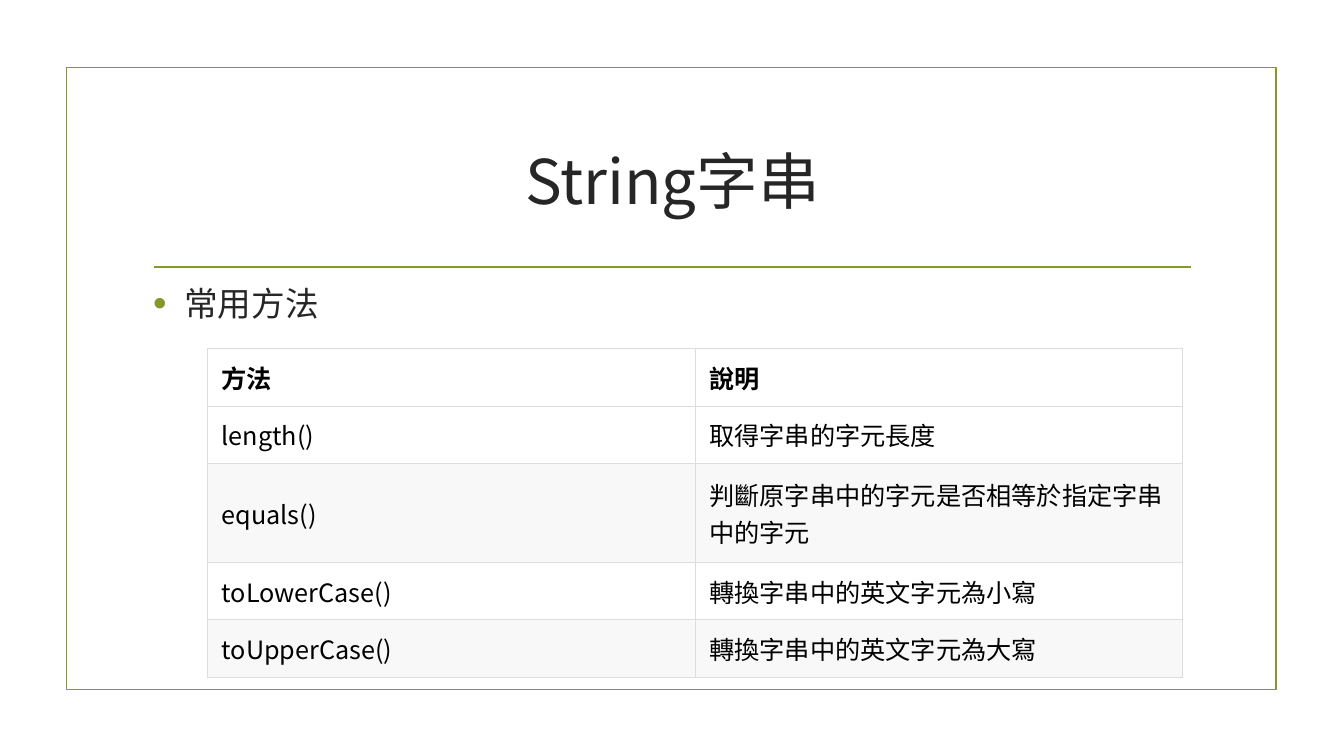
"""Build a slide listing common String methods in a bordered table."""
from lxml import etree
from pptx import Presentation
from pptx import util as u
from pptx.dml.color import RGBColor
from pptx.enum import shapes, text
from pptx.oxml.ns import qn

TITLE = "String字串"
BULLET = "常用方法"
METHODS = [
    ("方法", "說明"),
    ("length()", "取得字串的字元長度"),
    ("equals()", "判斷原字串中的字元是否相等於指定字串中的字元"),
    ("toLowerCase()", "轉換字串中的英文字元為小寫"),
    ("toUpperCase()", "轉換字串中的英文字元為大寫"),
]
THEME = {
    "accent": "83992A", "heading": "262626", "body": "000000",
    "border": "DDDDDD", "plain": "FFFFFF", "band": "F8F8F8",
    "heading_font": "Noto Sans CJK SC", "table_font": "Noto Sans CJK TC",
    "title_size": 44, "bullet_size": 24, "table_size": 18, "line": 1.25,
}
FRAME = (0.66, 0.67, 12, 6.17)
RULE = (1.53, 2.65, 11.81, 2.65)
TITLE_BOX = (1.42, 1.07, 10.5, 1.43)
BULLET_BOX = (1.42, 2.8, 10.5, 3.63)
TABLE_BOX = (2.06, 3.46, 9.67, 3.26)
ROW_HEIGHT, TALL_ROW_HEIGHT, TALL_ROW = 0.57, 0.98, 2
CELL_FORMAT = {
    "vertical_anchor": text.MSO_ANCHOR.MIDDLE,
    "margin_left": u.Inches(0.14), "margin_right": u.Inches(0.14),
    "margin_top": u.Inches(0.06), "margin_bottom": u.Inches(0.06),
}


def inches(values):
    return [u.Inches(value) for value in values]


def color(name):
    return RGBColor.from_string(THEME[name])


def apply(target, formats):
    for name, value in formats.items():
        setattr(target, name, value)


def write(paragraph, wording, font, size, ink, bold=False):
    run = paragraph.add_run()
    run.text = wording
    apply(run.font, {"name": THEME[font], "size": u.Pt(THEME[size]), "bold": bold})
    run.font.color.rgb = color(ink)
    etree.SubElement(run.font._element, qn("a:ea"), typeface=THEME[font])


def add_text(slide, box, anchor):
    frame = slide.shapes.add_textbox(*inches(box)).text_frame
    apply(frame, {"word_wrap": True, "vertical_anchor": anchor})
    return frame.paragraphs[0]


def add_bullet(paragraph):
    apply(paragraph, {"space_after": u.Pt(6), "line_spacing": 0.9})
    properties = paragraph._p.get_or_add_pPr()
    indent = u.Inches(0.31)
    properties.set("marL", str(indent))
    properties.set("indent", str(-indent))
    bullet_color = etree.SubElement(properties, qn("a:buClr"))
    etree.SubElement(bullet_color, qn("a:srgbClr"), val=THEME["accent"])
    etree.SubElement(properties, qn("a:buSzPct"), val="115000")
    etree.SubElement(properties, qn("a:buFont"), typeface="Arial")
    etree.SubElement(properties, qn("a:buChar"), char="•")


def add_borders(cell):
    properties = cell._tc.get_or_add_tcPr()
    for position, side in enumerate(("lnL", "lnR", "lnT", "lnB")):
        line = etree.Element(qn(f"a:{side}"), w=str(u.Pt(0.75)))
        fill = etree.SubElement(line, qn("a:solidFill"))
        etree.SubElement(fill, qn("a:srgbClr"), val=THEME["border"])
        properties.insert(position, line)


def add_methods(slide):
    table = slide.shapes.add_table(len(METHODS), 2, *inches(TABLE_BOX)).table
    for row, wordings in enumerate(METHODS):
        table.rows[row].height = u.Inches(TALL_ROW_HEIGHT if row == TALL_ROW else ROW_HEIGHT)
        shade = "band" if row and row % 2 == 0 else "plain"
        for column, wording in enumerate(wordings):
            cell = table.cell(row, column)
            apply(cell, CELL_FORMAT)
            cell.fill.solid()
            cell.fill.fore_color.rgb = color(shade)
            add_borders(cell)
            write(cell.text_frame.paragraphs[0], wording,
                  "table_font", "table_size", "body", row == 0)


def main():
    presentation = Presentation()
    apply(presentation, {"slide_width": u.Inches(13.33), "slide_height": u.Inches(7.5)})
    slide = presentation.slides.add_slide(presentation.slide_layouts[6])

    frame = slide.shapes.add_shape(shapes.MSO_SHAPE.RECTANGLE, *inches(FRAME))
    frame.shadow.inherit = False
    frame.fill.background()
    rule = slide.shapes.add_connector(shapes.MSO_CONNECTOR.STRAIGHT, *inches(RULE))
    for outlined in (frame, rule):
        outlined.line.color.rgb = color("accent")
        outlined.line.width = u.Pt(THEME["line"])
    etree.SubElement(rule._element.spPr, qn("a:effectLst"))

    title = add_text(slide, TITLE_BOX, text.MSO_ANCHOR.MIDDLE)
    title.alignment = text.PP_ALIGN.CENTER
    write(title, TITLE, "heading_font", "title_size", "heading")
    bullet = add_text(slide, BULLET_BOX, text.MSO_ANCHOR.TOP)
    add_bullet(bullet)
    write(bullet, BULLET, "heading_font", "bullet_size", "heading")
    add_methods(slide)
    presentation.save("out.pptx")


if __name__ == "__main__":
    main()
